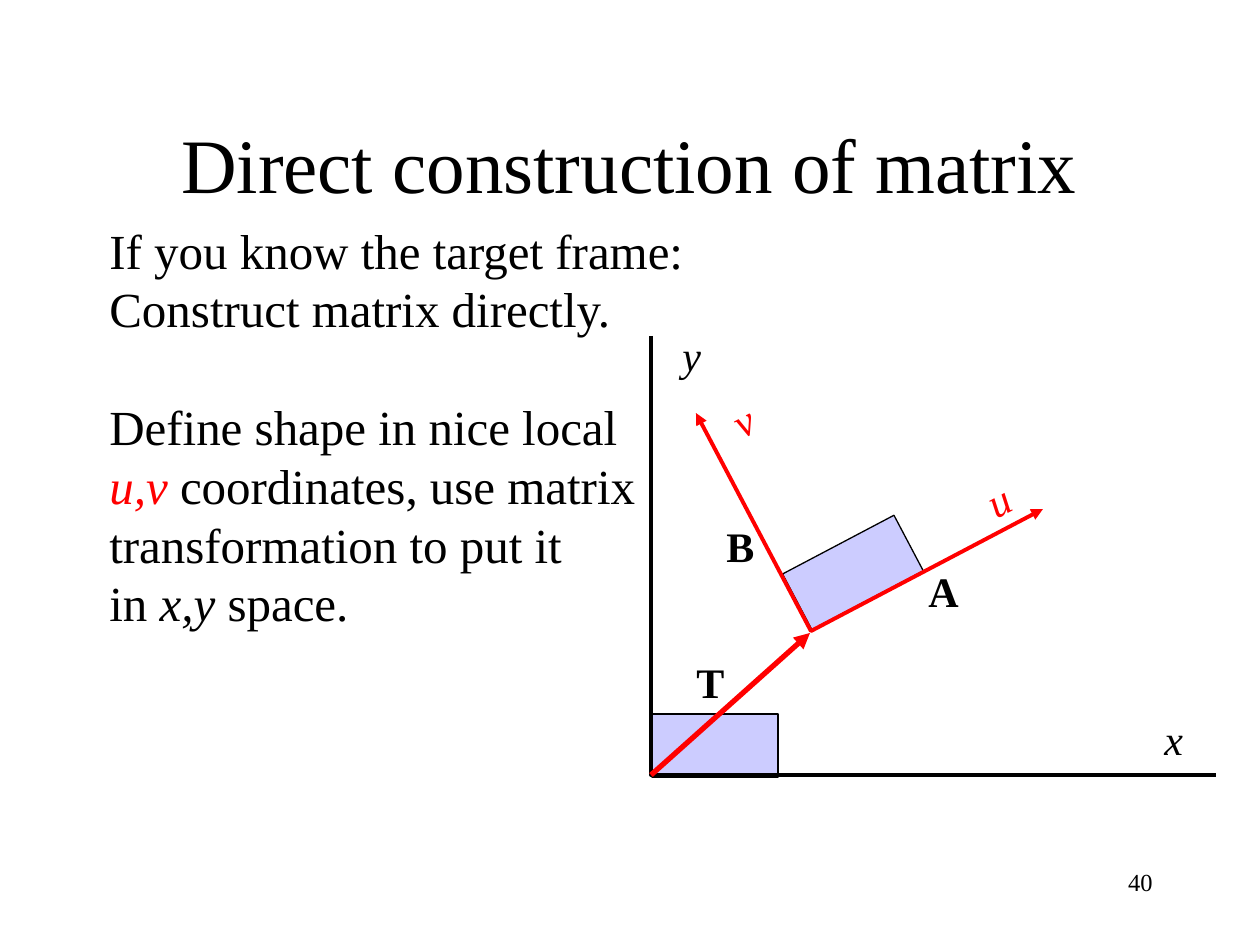
from dataclasses import dataclass

from lxml import etree
from pptx import Presentation
from pptx import util as u
from pptx.dml.color import RGBColor
from pptx.enum import shapes, text
from pptx.oxml import ns

SCALE = 914400 / 126
FONT = "Times New Roman"
BLACK, RED, LILAC = "000000", "FF0000", "CCCCFF"


@dataclass
class Run:
    words: str
    color: str = BLACK
    bold: bool = False
    slant: bool = False


@dataclass
class Line:
    runs: list[Run]
    gap: float = 0


@dataclass
class Label:
    run: Run
    x: int
    y: int
    w: int
    turn: float = 0


@dataclass
class Block:
    x: int
    y: int
    turn: float = 0


def px(n: float) -> u.Emu:
    return u.Emu(round(n * SCALE))


def rgb(code: str) -> RGBColor:
    return RGBColor.from_string(code)


def write(slide, box: tuple, lines: list[Line], size: int, wrap: bool = False,
          align=text.PP_ALIGN.LEFT, anchor=text.MSO_ANCHOR.TOP, turn: float = 0) -> None:
    shape = slide.shapes.add_textbox(*map(px, box))
    shape.rotation = turn
    frame = shape.text_frame
    frame.word_wrap = wrap
    frame.vertical_anchor = anchor
    for i, line in enumerate(lines):
        para = frame.add_paragraph() if i else frame.paragraphs[0]
        para.alignment = align
        para.line_spacing = u.Pt(size * 1.2)
        para.space_before = u.Pt(line.gap)
        for item in line.runs:
            run = para.add_run()
            run.text = item.words
            font = run.font
            font.name, font.size = FONT, u.Pt(size)
            font.bold, font.italic = item.bold, item.slant
            font.color.rgb = rgb(item.color)


def stroke(shape, color: str, width: float, ends: tuple = ()) -> None:
    shape.line.color.rgb = rgb(color)
    shape.line.width = u.Pt(width)
    for end in ends:
        etree.SubElement(shape.line._get_or_add_ln(), ns.qn(f"a:{end}"), type="triangle")


def block(slide, item: Block) -> None:
    shape = slide.shapes.add_shape(shapes.MSO_SHAPE.RECTANGLE,
                                   px(item.x), px(item.y), px(126), px(63))
    shape.rotation = item.turn
    shape.shadow.inherit = False
    shape.fill.solid()
    shape.fill.fore_color.rgb = rgb(LILAC)
    stroke(shape, BLACK, 0.75)


def axes(slide, points: list[tuple], color: str, ends: tuple = ()) -> None:
    first, *rest = points
    path = slide.shapes.build_freeform(*first, scale=SCALE)
    path.add_line_segments(rest, close=False)
    shape = path.convert_to_shape()
    shape.shadow.inherit = False
    shape.fill.background()
    stroke(shape, color, 2.25, ends)


def arrow(slide, start: tuple, stop: tuple) -> None:
    shape = slide.shapes.add_connector(shapes.MSO_CONNECTOR.STRAIGHT,
                                       *map(px, start + stop))
    stroke(shape, RED, 3, ("tailEnd",))
    etree.SubElement(shape._element.spPr, ns.qn("a:effectLst"))


TILT = 332.2
BLOCKS = [Block(790, 541, TILT), Block(652, 714)]
LABELS = [
    Label(Run("x", slant=True), 1152, 707, 44),
    Label(Run("y", slant=True), 670, 323, 44),
    Label(Run("v", RED, slant=True), 721, 389, 44, TILT),
    Label(Run("u", RED, slant=True), 975, 469, 45, TILT),
    Label(Run("A", bold=True), 916, 559, 55),
    Label(Run("B", bold=True), 714, 514, 53),
    Label(Run("T", bold=True), 684, 650, 53),
]
BODY = [
    Line([Run("If you know the target frame:")]),
    Line([Run("Construct matrix directly.")]),
    Line([Run("Define shape in nice local")], gap=33.6),
    Line([Run("u,v", RED, slant=True), Run(" coordinates, use matrix")]),
    Line([Run("transformation to put it")]),
    Line([Run("in "), Run("x,y", slant=True), Run(" space.")]),
]


def main() -> None:
    deck = Presentation()
    deck.slide_width, deck.slide_height = px(1260), px(945)
    slide = deck.slides.add_slide(deck.slide_layouts[6])
    for item in BLOCKS:
        block(slide, item)
    write(slide, (94, 84, 1071, 158), [Line([Run("Direct construction of matrix")])], 44,
          True, text.PP_ALIGN.CENTER, text.MSO_ANCHOR.MIDDLE)
    axes(slide, [(651, 336), (651, 775), (1216, 775)], BLACK)
    axes(slide, [(696, 413), (811, 631), (1043, 509)], RED, ("headEnd", "tailEnd"))
    arrow(slide, (651, 775), (810, 633))
    for tag in LABELS:
        write(slide, (tag.x, tag.y, tag.w, 63), [Line([tag.run])], 24, turn=tag.turn)
    write(slide, (97, 214, 600, 425), BODY, 28)
    write(slide, (903, 861, 262, 63), [Line([Run("40")])], 14, True, text.PP_ALIGN.RIGHT)
    deck.save("out.pptx")


if __name__ == "__main__":
    main()
